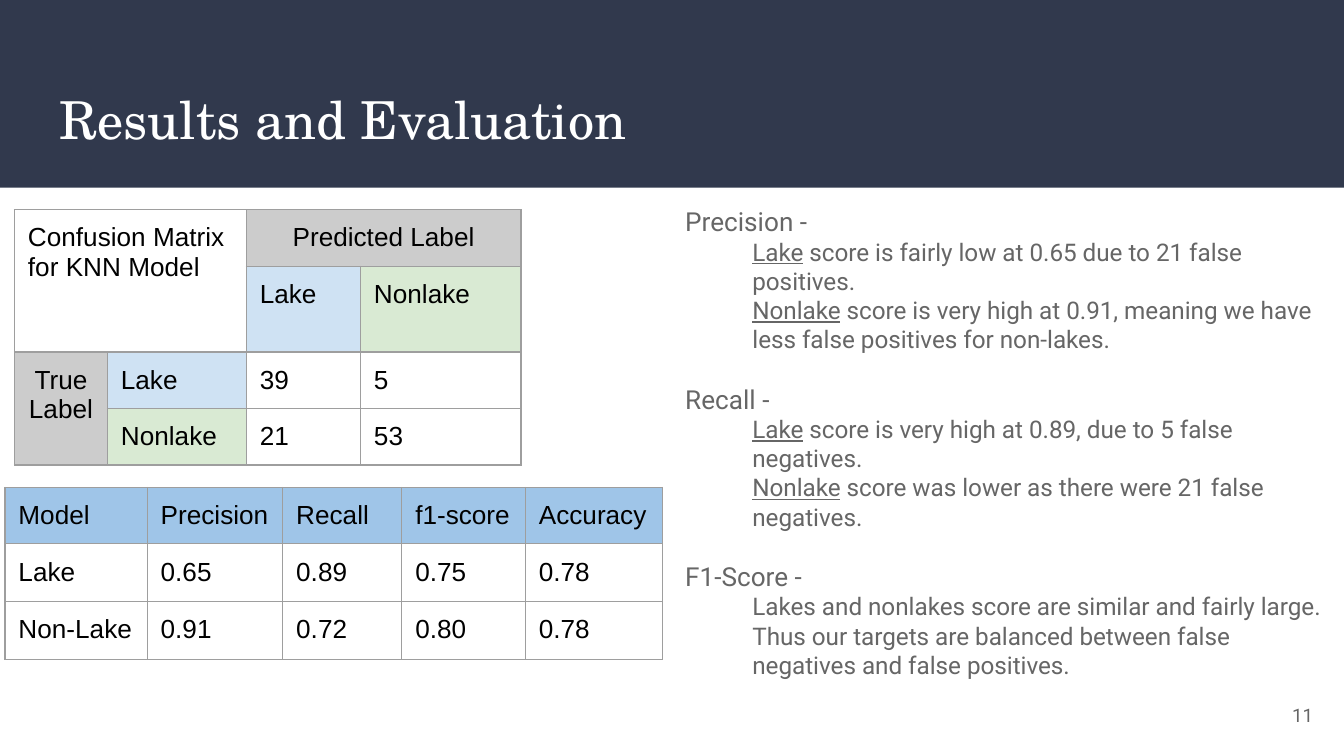
from lxml.etree import SubElement
from pptx import Presentation
from pptx.dml.color import RGBColor
from pptx.enum.shapes import MSO_SHAPE as Shape
from pptx.enum.text import MSO_ANCHOR as Anchor, MSO_AUTO_SIZE as AutoSize, PP_ALIGN as Align
from pptx.oxml.ns import qn
from pptx.util import Pt

SLIDE_W, SLIDE_H = 720, 405
INSET = 7.2
NAVY, WHITE, BLACK, TEXT_GREY, BORDER = "31394D", "FFFFFF", "000000", "666666", "9E9E9E"
GREY, PALE_BLUE, PALE_GREEN, BLUE = "CCCCCC", "CFE2F3", "D9EAD3", "9FC5E8"

CONFUSION = [
    ["Confusion Matrix for KNN Model", "", "Predicted Label", ""],
    ["", "", "Lake", "Nonlake"],
    ["True Label", "Lake", "39", "5"],
    ["", "Nonlake", "21", "53"],
]
CONFUSION_FILLS = {
    (0, 2): GREY, (2, 0): GREY,
    (1, 2): PALE_BLUE, (2, 1): PALE_BLUE,
    (1, 3): PALE_GREEN, (3, 1): PALE_GREEN,
}
CONFUSION_MERGES = [((0, 0), (1, 1)), ((0, 2), (0, 3)), ((2, 0), (3, 0))]

SCORES = [
    ["Model", "Precision", "Recall", "f1-score", "Accuracy"],
    ["Lake", "0.65", "0.89", "0.75", "0.78"],
    ["Non-Lake", "0.91", "0.72", "0.80", "0.78"],
]

# Each finding is a heading and its lines; a line is an underlined lead and the rest.
FINDINGS = [
    ("Precision -", [
        ("Lake", " score is fairly low at 0.65 due to 21 false positives."),
        ("Nonlake", " score is very high at 0.91, meaning we have less false positives for non-lakes."),
    ]),
    ("Recall -", [
        ("Lake", " score is very high at 0.89, due to 5 false negatives."),
        ("Nonlake", " score was lower as there were 21 false negatives."),
    ]),
    ("F1-Score -", [
        ("", "Lakes and nonlakes score are similar and fairly large."),
        ("", "Thus our targets are balanced between false negatives and false positives."),
    ]),
]


def rgb(color):
    return RGBColor.from_string(color)


def add_run(p, text, size, font, color, underline=False):
    r = p.add_run()
    r.text = text
    r.font.size, r.font.name = Pt(size), font
    r.font.color.rgb = rgb(color)
    if underline:
        r.font.underline = True


def set_frame(tf, anchor=Anchor.TOP):
    tf.word_wrap = True
    tf.auto_size = AutoSize.NONE
    tf.vertical_anchor = anchor
    tf.margin_left = tf.margin_right = tf.margin_top = tf.margin_bottom = Pt(INSET)


def add_text_box(slide, x, y, w, h, anchor=Anchor.TOP):
    tf = slide.shapes.add_textbox(Pt(x), Pt(y), Pt(w), Pt(h)).text_frame
    set_frame(tf, anchor)
    return tf


def add_header(slide, x, y, w, h):
    """Place the dark band with the slide title on it."""
    band = slide.shapes.add_shape(Shape.RECTANGLE, Pt(x), Pt(y), Pt(w), Pt(h))
    band.shadow.inherit = False
    band.fill.solid()
    band.fill.fore_color.rgb = rgb(NAVY)
    band.line.fill.background()
    title = slide.shapes.title
    title.element.addprevious(band.element)
    title.left, title.top = Pt(x + 24.5), Pt(y + 39.5)
    title.width, title.height = Pt(w - 49), Pt(49)
    set_frame(title.text_frame)
    p = title.text_frame.paragraphs[0]
    p.alignment = Align.LEFT
    add_run(p, "Results and Evaluation", 28, "TeX Gyre Schola", WHITE)


def set_borders(cell):
    tc_pr = cell._tc.get_or_add_tcPr()
    for side in ("lnL", "lnR", "lnT", "lnB"):
        ln = SubElement(tc_pr, qn(f"a:{side}"), w=str(Pt(0.75)))
        fill = SubElement(ln, qn("a:solidFill"))
        SubElement(fill, qn("a:srgbClr"), val=BORDER)


def add_grid(slide, x, y, widths, heights, rows, fills, merges=(), centred=()):
    """Add a bordered table; fills, merges and centred use (row, column) keys."""
    frame = slide.shapes.add_table(len(heights), len(widths), Pt(x), Pt(y),
                                   Pt(sum(widths)), Pt(sum(heights)))
    table = frame.table
    table.first_row = table.horz_banding = False
    for column, width in zip(table.columns, widths):
        column.width = Pt(width)
    for row, height in zip(table.rows, heights):
        row.height = Pt(height)
    for start, end in merges:
        table.cell(*start).merge(table.cell(*end))
    for i, row in enumerate(rows):
        for j, text in enumerate(row):
            cell = table.cell(i, j)
            margin = Pt(0 if cell.is_spanned else INSET)
            cell.margin_left = cell.margin_right = margin
            cell.margin_top = cell.margin_bottom = margin
            set_borders(cell)
            if (i, j) in fills:
                cell.fill.solid()
                cell.fill.fore_color.rgb = rgb(fills[i, j])
            else:
                cell.fill.background()
            if text:
                p = cell.text_frame.paragraphs[0]
                p.alignment = Align.CENTER if (i, j) in centred else Align.LEFT
                add_run(p, text, 14, "Arial", BLACK)


def add_findings(slide, x, y, w, h):
    tf = add_text_box(slide, x, y, w, h)
    for i, (heading, lines) in enumerate(FINDINGS):
        p = tf.add_paragraph() if i else tf.paragraphs[0]
        if i:
            p.space_before = Pt(15.7)
        add_run(p, heading, 14, "Roboto", TEXT_GREY)
        for lead, rest in lines:
            p = tf.add_paragraph()
            p._p.get_or_add_pPr().set("marL", str(Pt(36)))
            if lead:
                add_run(p, lead, 13, "Roboto", TEXT_GREY, underline=True)
            add_run(p, rest, 13, "Roboto", TEXT_GREY)


def add_page_number(slide, x, y, w, h):
    p = add_text_box(slide, x, y, w, h, Anchor.MIDDLE).paragraphs[0]
    p.alignment = Align.RIGHT
    add_run(p, "11", 10, "Roboto", TEXT_GREY)


def main():
    prs = Presentation()
    prs.slide_width, prs.slide_height = Pt(SLIDE_W), Pt(SLIDE_H)
    slide = prs.slides.add_slide(prs.slide_layouts[5])
    add_header(slide, 0, 0, SLIDE_W, 100.5)
    add_page_number(slide, 667.5, 367.5, 43, 31)
    add_grid(slide, 7.8, 112.4, [49.8, 74.4, 61.2, 86], [30.3, 45.5, 30.3, 30.3],
             CONFUSION, CONFUSION_FILLS, CONFUSION_MERGES, centred=[(0, 2), (2, 0)])
    add_findings(slide, SLIDE_W / 2, 103, SLIDE_W / 2, 295)
    add_grid(slide, 2.7, 261.2, [76.2, 72.6, 63.8, 66.2, 73.6], [30, 31, 31],
             SCORES, {(0, j): BLUE for j in range(len(SCORES[0]))})
    prs.save("out.pptx")


if __name__ == "__main__":
    main()
